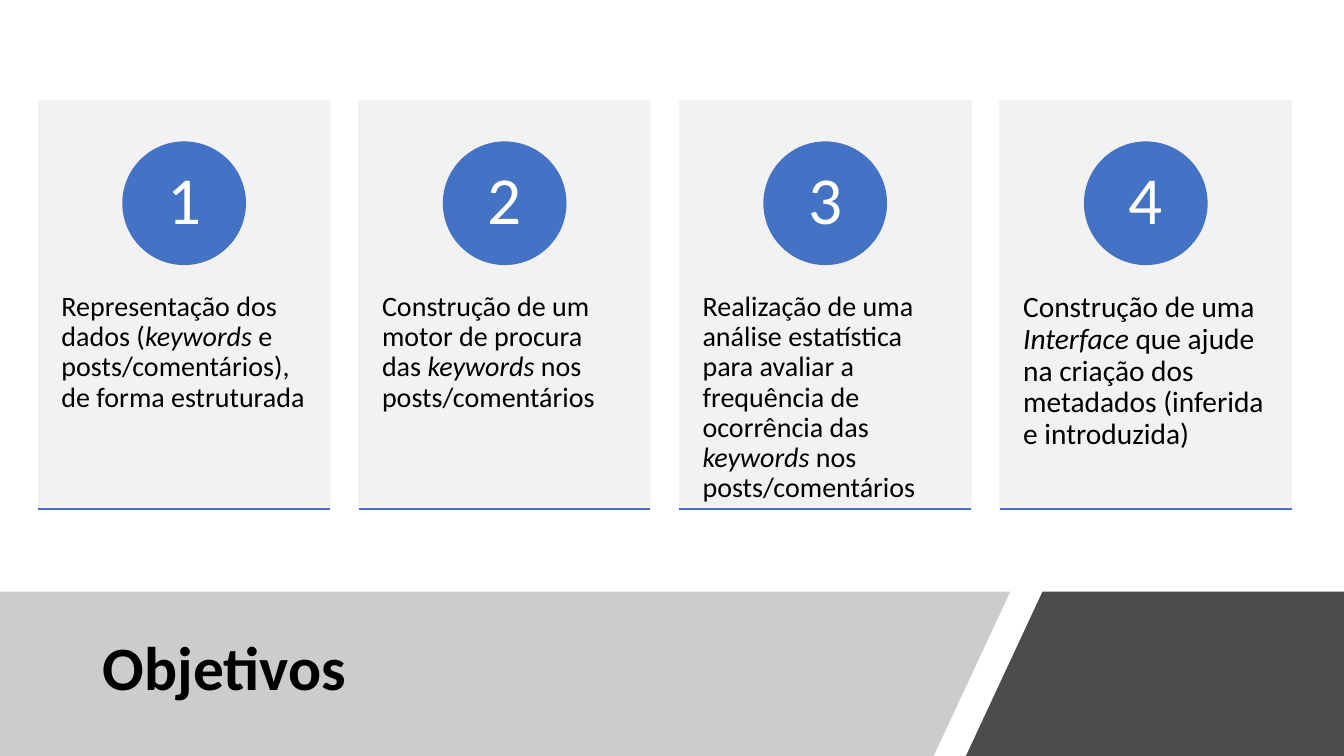
from lxml.etree import SubElement
from pptx import Presentation
from pptx.dml.color import RGBColor
from pptx.enum.shapes import MSO_CONNECTOR as Connector, MSO_SHAPE as Shape
from pptx.enum.text import MSO_ANCHOR as Anchor, MSO_AUTO_SIZE as AutoSize, PP_ALIGN as Align
from pptx.oxml.ns import qn
from pptx.util import Inches, Pt

COLOURS = {
    "card": "F2F2F2",
    "accent": "4472C4",
    "band": "808080",
    "text": "000000",
    "number": "FFFFFF",
}

GOALS = [
    ("Representação dos dados (*keywords *e posts/comentários), de forma estruturada", 20),
    ("Construção de um motor de procura das *keywords* nos posts/comentários", 20),
    ("Realização de uma análise estatística para avaliar a frequência de ocorrência das "
     "*keywords *nos posts/comentários", 20),
    ("Construção de uma *Interface *que ajude na criação dos metadados (inferida e introduzida)", 21),
]

CARD_LEFT, CARD_PITCH, CARD_WIDTH = 2.85, 23.85, 21.7
CARD_TOP, CARD_HEIGHT = 13.33, 54
CIRCLE_WIDTH, CIRCLE_HEIGHT = 9.1, 16.18
BAND_TOP = 78.27


def write(frame, text, size, colour="text", font="Calibri", bold=False,
          align=Align.LEFT, anchor=Anchor.TOP, insets=(0.1, 0.05)):
    frame.word_wrap = True
    frame.auto_size = AutoSize.NONE
    frame.vertical_anchor = anchor
    frame.margin_left = frame.margin_right = Inches(insets[0])
    frame.margin_top = frame.margin_bottom = Inches(insets[1])
    paragraph = frame.paragraphs[0]
    paragraph.alignment = align
    paragraph.line_spacing = 0.9
    for index, part in enumerate(text.split("*")):
        run = paragraph.add_run()
        run.text = part
        run.font.name = font
        run.font.size = Pt(size)
        run.font.bold = bold
        run.font.italic = index % 2 == 1
        run.font.color.rgb = RGBColor.from_string(COLOURS[colour])


class SlideBuilder:
    def __init__(self, presentation):
        self.width = presentation.slide_width
        self.height = presentation.slide_height
        self.slide = presentation.slides.add_slide(presentation.slide_layouts[5])
        self.shapes = self.slide.shapes

    def place(self, x, y):
        return round(self.width * x / 100), round(self.height * y / 100)

    def box(self, x, y, width, height):
        return *self.place(x, y), *self.place(width, height)

    def title(self, text, *box):
        title = self.shapes.title
        title.left, title.top, title.width, title.height = self.box(*box)
        title.element.getparent().append(title.element)
        write(title.text_frame, text, 44, bold=True, anchor=Anchor.MIDDLE)

    def band(self, points, colour, opacity):
        start, *others = [self.place(*point) for point in points]
        builder = self.shapes.build_freeform(*start)
        builder.add_line_segments(others, close=True)
        band = builder.convert_to_shape()
        band.shadow.inherit = False
        band.line.fill.background()
        band.fill.solid()
        band.fill.fore_color.rgb = RGBColor.from_string(COLOURS[colour])
        tint = band.element.spPr.find(qn("a:solidFill"))[0]
        SubElement(tint, qn("a:alpha"), val=str(opacity * 1000))

    def block(self, kind, colour, *box):
        block = self.shapes.add_shape(kind, *self.box(*box))
        block.shadow.inherit = False
        block.fill.solid()
        block.fill.fore_color.rgb = RGBColor.from_string(COLOURS[colour])
        block.line.color.rgb = RGBColor.from_string(COLOURS[colour])
        block.line.width = Pt(1)
        return block

    def rule(self, x, y, width):
        rule = self.shapes.add_connector(
            Connector.STRAIGHT, *self.place(x, y), *self.place(x + width, y))
        rule.line.color.rgb = RGBColor.from_string(COLOURS["accent"])
        rule.line.width = Pt(1)
        SubElement(rule.element.spPr, qn("a:effectLst"))

    def card(self, column, text, size):
        left = CARD_LEFT + column * CARD_PITCH
        self.block(Shape.RECTANGLE, "card", left, CARD_TOP, CARD_WIDTH, CARD_HEIGHT)
        goal = self.shapes.add_textbox(*self.box(left, 33.87, CARD_WIDTH, 32.4))
        write(goal.text_frame, text, size, insets=(0.23, 0.36))
        circle = self.block(Shape.OVAL, "accent", left + (CARD_WIDTH - CIRCLE_WIDTH) / 2,
                            18.8, CIRCLE_WIDTH, CIRCLE_HEIGHT)
        write(circle.text_frame, str(column + 1), 48, colour="number",
              align=Align.CENTER, anchor=Anchor.MIDDLE, insets=(0.09, 0.01))
        self.rule(left, CARD_TOP + CARD_HEIGHT, CARD_WIDTH)


def main():
    presentation = Presentation()
    presentation.slide_width = Inches(13.33)
    presentation.slide_height = Inches(7.5)
    builder = SlideBuilder(presentation)
    builder.band([(0, BAND_TOP), (75.17, BAND_TOP), (69.47, 100), (0, 100)], "band", 40)
    builder.title("Objetivos", 6.9, 80.67, 63.32, 16)
    builder.band([(77.57, BAND_TOP), (100, BAND_TOP), (100, 100), (71.87, 100)], "text", 70)
    for column, (text, size) in enumerate(GOALS):
        builder.card(column, text, size)
    presentation.save("out.pptx")


if __name__ == "__main__":
    main()
